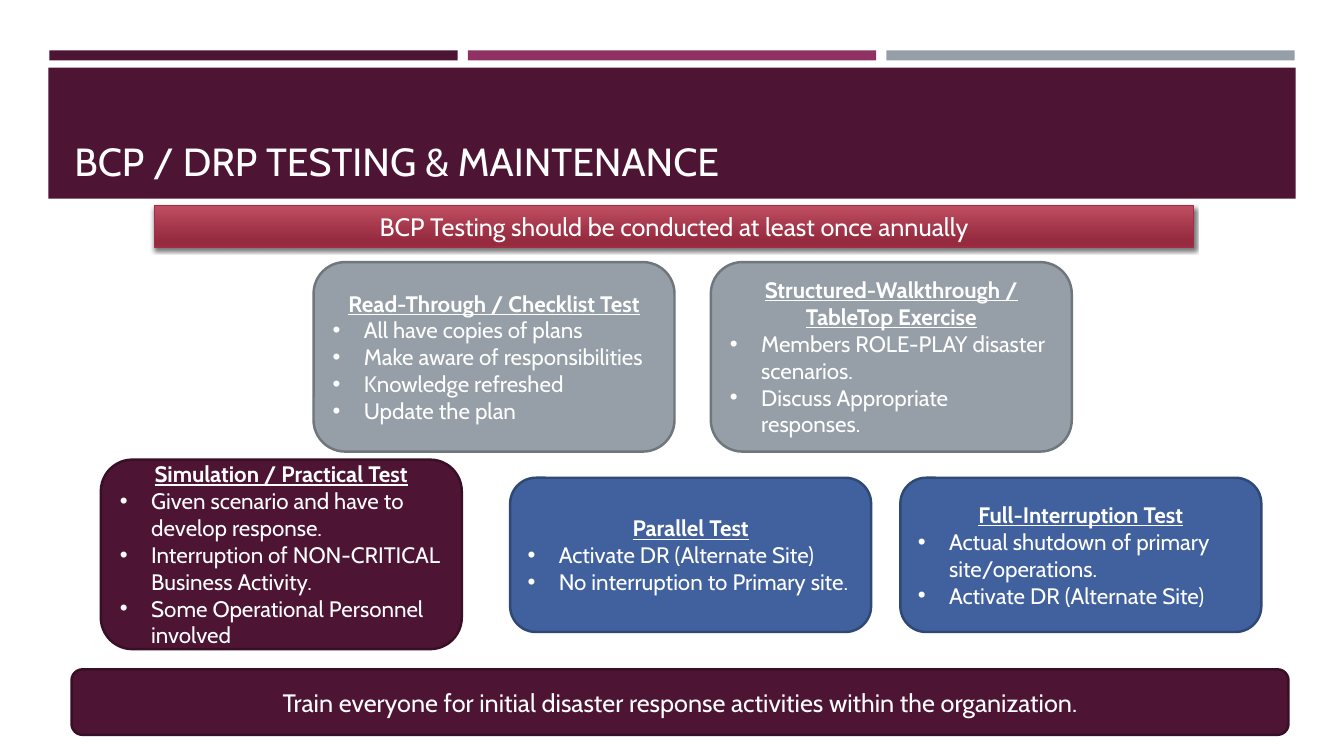
from lxml import etree
from pptx import Presentation
from pptx.dml.color import RGBColor
from pptx.enum.shapes import MSO_SHAPE as Shape
from pptx.enum.text import MSO_ANCHOR as Anchor, PP_ALIGN as Align
from pptx.oxml.ns import qn
from pptx.util import Emu, Pt

PX = 9144
FONT = "Cabin"
WHITE, PLUM, MAGENTA, GRAY, BLUE = "FFFFFF", "4D1434", "903163", "969FA7", "40619D"
EDGES = {PLUM: "390F26", GRAY: "6F767C", BLUE: "2F4874"}

TESTS = [
    ((311, 260, 358, 188), GRAY, "Read-Through / Checklist Test",
     ["All have copies of plans", "Make aware of responsibilities",
      "Knowledge refreshed", "Update the plan"]),
    ((705, 260, 358, 188), GRAY, "Structured-Walkthrough / TableTop Exercise",
     ["Members ROLE-PLAY disaster scenarios.", "Discuss Appropriate responses."]),
    ((100, 456, 358, 188), PLUM, "Simulation / Practical Test",
     ["Given scenario and have to develop response.",
      "Interruption of NON-CRITICAL Business Activity.",
      "Some Operational Personnel involved"]),
    ((506, 474, 358, 153), BLUE, "Parallel Test",
     ["Activate DR (Alternate Site)", "No interruption to Primary site."]),
    ((893, 474, 358, 153), BLUE, "Full-Interruption Test",
     ["Actual shutdown of primary site/operations.", "Activate DR (Alternate Site)"]),
]


def px(length):
    """Turn px into EMU."""
    return Emu(length * PX)


def color(value):
    """Turn a hex string into a colour."""
    return RGBColor.from_string(value)


def add_box(slide, kind, box, fill, edge=None):
    """Add a filled shape without shadow, outlined if an edge colour is given."""
    shape = slide.shapes.add_shape(kind, *map(px, box))
    shape.shadow.inherit = False
    shape.fill.solid()
    shape.fill.fore_color.rgb = color(fill)
    if edge:
        shape.line.color.rgb = color(edge)
        shape.line.width = Pt(1.75)
    else:
        shape.line.fill.background()
    shape.text_frame.word_wrap = True
    shape.text_frame.vertical_anchor = Anchor.MIDDLE
    return shape


def add_run(paragraph, text, size, align=Align.CENTER, heading=False):
    """Add one white run and align its paragraph."""
    paragraph.alignment = align
    run = paragraph.add_run()
    run.text = text
    run.font.name = FONT
    run.font.size = Pt(size)
    run.font.color.rgb = color(WHITE)
    run.font.bold = run.font.underline = heading


def add_bullet(paragraph):
    """Give a paragraph a hanging round bullet."""
    properties = paragraph._p.get_or_add_pPr()
    properties.set("marL", str(px(31)))
    properties.set("indent", str(px(-31)))
    etree.SubElement(properties, qn("a:buFont"), typeface="Arial")
    etree.SubElement(properties, qn("a:buChar"), char="•")


def add_header(slide, box, title):
    """Draw three stripes above a title band."""
    left, top, width, height = box
    for index, fill in enumerate((PLUM, MAGENTA, GRAY)):
        add_box(slide, Shape.RECTANGLE, (left + 1 + 415 * index, top, 405, 10), fill)
    add_box(slide, Shape.RECTANGLE, (left, top + 17, width, height - 17), PLUM)
    label = slide.shapes.add_textbox(px(left + 16), px(top + 27), px(width - 31), px(height - 36))
    label.text_frame.word_wrap = True
    label.text_frame.vertical_anchor = Anchor.BOTTOM
    add_run(label.text_frame.paragraphs[0], title, 28, Align.LEFT)


def add_banner(slide, box, text):
    """Draw the red gradient banner with its shadow."""
    banner = add_box(slide, Shape.RECTANGLE, box, PLUM, "A02D44")
    banner.line.width = Pt(1)
    banner.fill.gradient()
    banner.fill.gradient_angle = 270
    stops = zip(banner.fill.gradient_stops, ((0, "BF4E61"), (0.84, "962A3F")))
    for stop, (position, value) in stops:
        stop.position = position
        stop.color.rgb = color(value)
    effects = banner._element.spPr.find(qn("a:effectLst"))
    shadow = etree.SubElement(effects, qn("a:outerShdw"), blurRad=str(Pt(3)), dist=str(Pt(2)),
                              dir="5400000", rotWithShape="0")
    shade = etree.SubElement(shadow, qn("a:srgbClr"), val="000000")
    etree.SubElement(shade, qn("a:alpha"), val="55000")
    add_run(banner.text_frame.paragraphs[0], text, 18)


def add_test_card(slide, box, fill, heading, points):
    """Draw a rounded card with a heading and bullets."""
    frame = add_box(slide, Shape.ROUNDED_RECTANGLE, box, fill, EDGES[fill]).text_frame
    add_run(frame.paragraphs[0], heading, 16, heading=True)
    for point in points:
        paragraph = frame.add_paragraph()
        add_bullet(paragraph)
        add_run(paragraph, point, 16, Align.LEFT)


def add_footer(slide, box, text):
    """Draw the rounded closing bar."""
    bar = add_box(slide, Shape.ROUNDED_RECTANGLE, box, PLUM, EDGES[PLUM])
    add_run(bar.text_frame.paragraphs[0], text, 18)


def main():
    """Build and save the slide."""
    presentation = Presentation()
    presentation.slide_width, presentation.slide_height = px(1333), px(750)
    slide = presentation.slides.add_slide(presentation.slide_layouts[6])
    add_header(slide, (48, 50, 1237, 147), "BCP / DRP TESTING & MAINTENANCE")
    for test in TESTS:
        add_test_card(slide, *test)
    add_footer(slide, (71, 664, 1207, 65),
               "Train everyone for initial disaster response activities within the organization.")
    add_banner(slide, (153, 204, 1031, 41),
               "BCP Testing should be conducted at least once annually")
    presentation.save("out.pptx")


if __name__ == "__main__":
    main()
